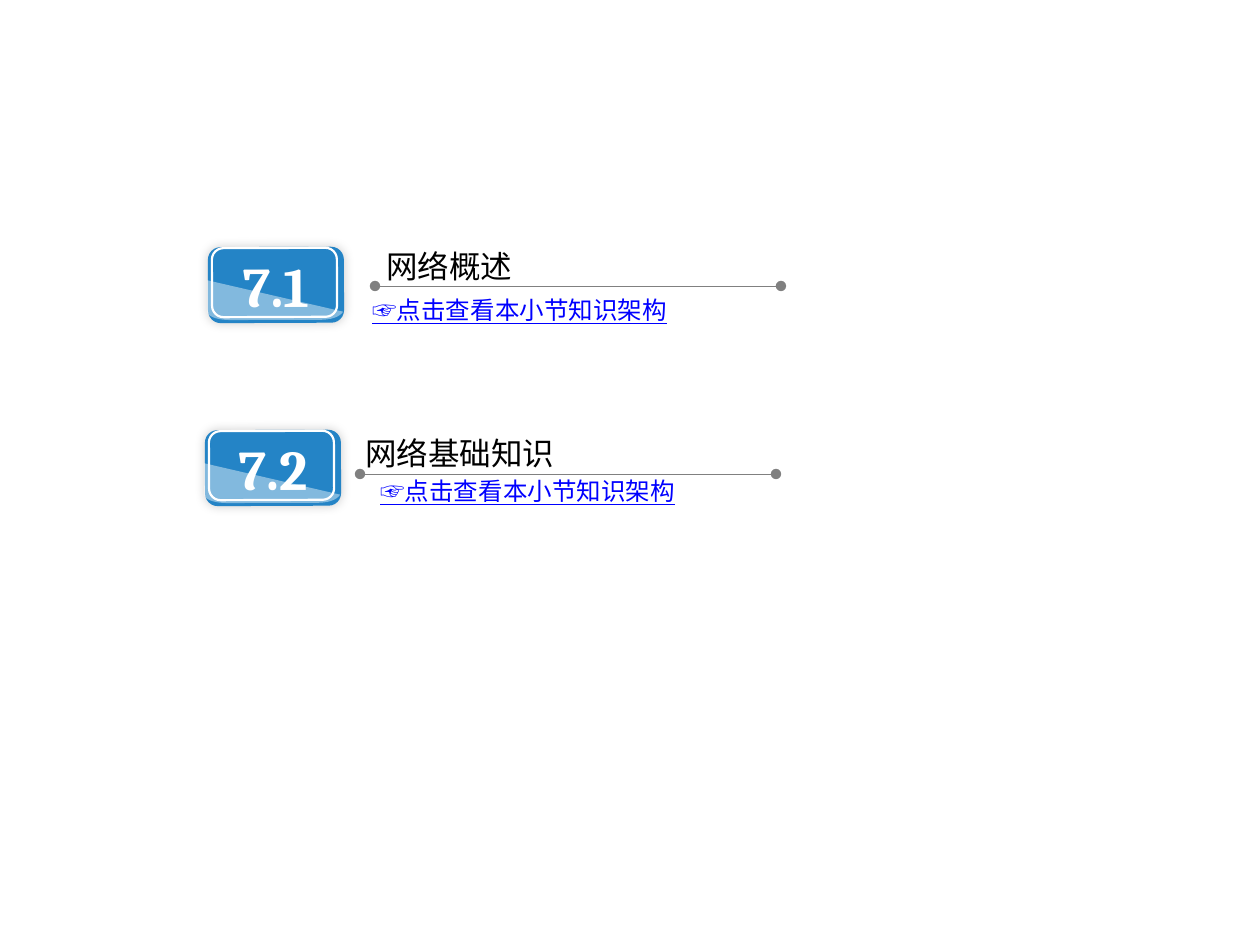
from lxml import etree
from pptx import Presentation
from pptx.dml.color import RGBColor
from pptx.enum.dml import MSO_LINE
from pptx.enum.shapes import MSO_CONNECTOR, MSO_SHAPE
from pptx.enum.text import MSO_ANCHOR, MSO_AUTO_SIZE, PP_ALIGN
from pptx.oxml.ns import qn
from pptx.util import Inches, Pt

PX = Inches(1) / 126
ROUND_RECT = MSO_SHAPE.ROUNDED_RECTANGLE
STRAIGHT = MSO_CONNECTOR.STRAIGHT
DOTTED = MSO_LINE.ROUND_DOT
MIDDLE = MSO_ANCHOR.MIDDLE
CENTER = PP_ALIGN.CENTER
FIT_SHAPE = MSO_AUTO_SIZE.SHAPE_TO_FIT_TEXT

COLORS = {"badge": "2484C6", "white": "FFFFFF", "rule": "808080",
          "text": "000000", "link": "0000FF"}
CJK, LATIN = "Noto Sans CJK SC", "Cambria"
TILT = 359.8
LINK_TEXT = "☞点击查看本小节知识架构"

# Badge corner, then heading, rule and link offsets from that corner
SECTIONS = [
    {"number": "7.1", "title": "网络概述", "at": (208, 247),
     "heading": (166, -6, 152, 50), "rule": (167, 573, 39), "link": (152, 42, 324, 43)},
    {"number": "7.2", "title": "网络基础知识", "at": (205, 430),
     "heading": (148, -2, 217, 50), "rule": (155, 571, 44), "link": (163, 40, 324, 43)},
]


def emu(*lengths):
    return [round(n * PX) for n in lengths]


def rgb(name):
    return RGBColor.from_string(COLORS[name])


def sub(parent, tag, **attrs):
    return etree.SubElement(parent, qn(tag), attrs)


def style_text(p, size, font, color):
    r = p.runs[0]
    r.font.size, r.font.name = Pt(size), font
    r.font.color.rgb = rgb(color)
    sub(r.font._element, "a:ea", typeface=font)
    return r


def add_text(slide, x, y, w, h, text, size, color, wrap):
    tf = slide.shapes.add_textbox(*emu(x, y, w, h)).text_frame
    tf.word_wrap, tf.auto_size = wrap, FIT_SHAPE
    tf.text = text
    return style_text(tf.paragraphs[0], size, CJK, color)


def curve(p0, p1, p2, p3, steps=10):
    """Points along a cubic Bezier, without its start."""
    for i in range(1, steps + 1):
        t = i / steps
        yield tuple((1 - t) ** 3 * a + 3 * (1 - t) ** 2 * t * b
                    + 3 * (1 - t) * t ** 2 * c + t ** 3 * d
                    for a, b, c, d in zip(p0, p1, p2, p3))


def add_gloss(slide, x, y):
    points = [*curve((136, 32), (134, 36), (126, 40), (115, 40)), (23, 40),
              *curve((23, 40), (10, 40), (0, 36), (0, 31))]
    builder = slide.shapes.build_freeform(*emu(x, y))
    builder.add_line_segments([emu(x + dx, y + dy) for dx, dy in [(136, 32), *points]])
    sp = builder.convert_to_shape()
    sp.shadow.inherit = False
    sp.rotation = TILT
    sp.line.fill.background()
    sp.fill.solid()
    sp.fill.fore_color.rgb = rgb("white")
    clr = sp._element.spPr.find(qn("a:solidFill"))[0]
    sub(clr, "a:alpha", val="43000")


def add_badge(slide, x, y, number):
    # Blue plate with a soft shadow
    sp = slide.shapes.add_shape(ROUND_RECT, *emu(x, y, 136, 76))
    sp.rotation = TILT
    sp.fill.solid()
    sp.fill.fore_color.rgb = rgb("badge")
    sp.line.fill.background()
    sp.shadow.inherit = False
    effects = sp._element.spPr.find(qn("a:effectLst"))
    shadow = sub(effects, "a:outerShdw", blurRad=str(Pt(6)), dist="0", dir="13500000",
                 algn="ctr", rotWithShape="0")
    sub(sub(shadow, "a:srgbClr", val="000000"), "a:alpha", val="20000")
    tf = sp.text_frame
    tf.vertical_anchor = MIDDLE
    tf.text = number
    tf.paragraphs[0].alignment = CENTER
    style_text(tf.paragraphs[0], 32, LATIN, "white").font.bold = True

    # White inner outline
    sp = slide.shapes.add_shape(ROUND_RECT, *emu(x + 4, y + 1, 125, 69))
    sp.rotation = TILT
    sp.shadow.inherit = False
    sp.fill.background()
    sp.line.color.rgb = rgb("white")
    sp.line.width = Pt(1.25)

    add_gloss(slide, x - 1, y + 33)


def add_rule(slide, x1, x2, y):
    line = slide.shapes.add_connector(STRAIGHT, *emu(x1, y, x2, y))
    line.line.color.rgb = rgb("rule")
    line.line.width = Pt(0.25)
    line.line.dash_style = DOTTED
    ln = line.get_or_add_ln()
    sub(ln, "a:headEnd", type="oval")
    sub(ln, "a:tailEnd", type="oval")
    sub(line._element.spPr, "a:effectLst")


def add_section(slide, section):
    x, y = section["at"]
    x1, x2, dy = section["rule"]
    add_rule(slide, x + x1, x + x2, y + dy)
    dx, dy, w, h = section["heading"]
    add_text(slide, x + dx, y + dy, w, h, section["title"], 18, "text", False)
    add_badge(slide, x, y, section["number"])
    dx, dy, w, h = section["link"]
    r = add_text(slide, x + dx, y + dy, w, h, LINK_TEXT, 14, "link", True)
    r.font.underline = True


def main():
    prs = Presentation()
    prs.slide_width, prs.slide_height = emu(1260, 945)
    slide = prs.slides.add_slide(prs.slide_layouts[6])
    for section in SECTIONS:
        add_section(slide, section)
    prs.save("out.pptx")


if __name__ == "__main__":
    main()
